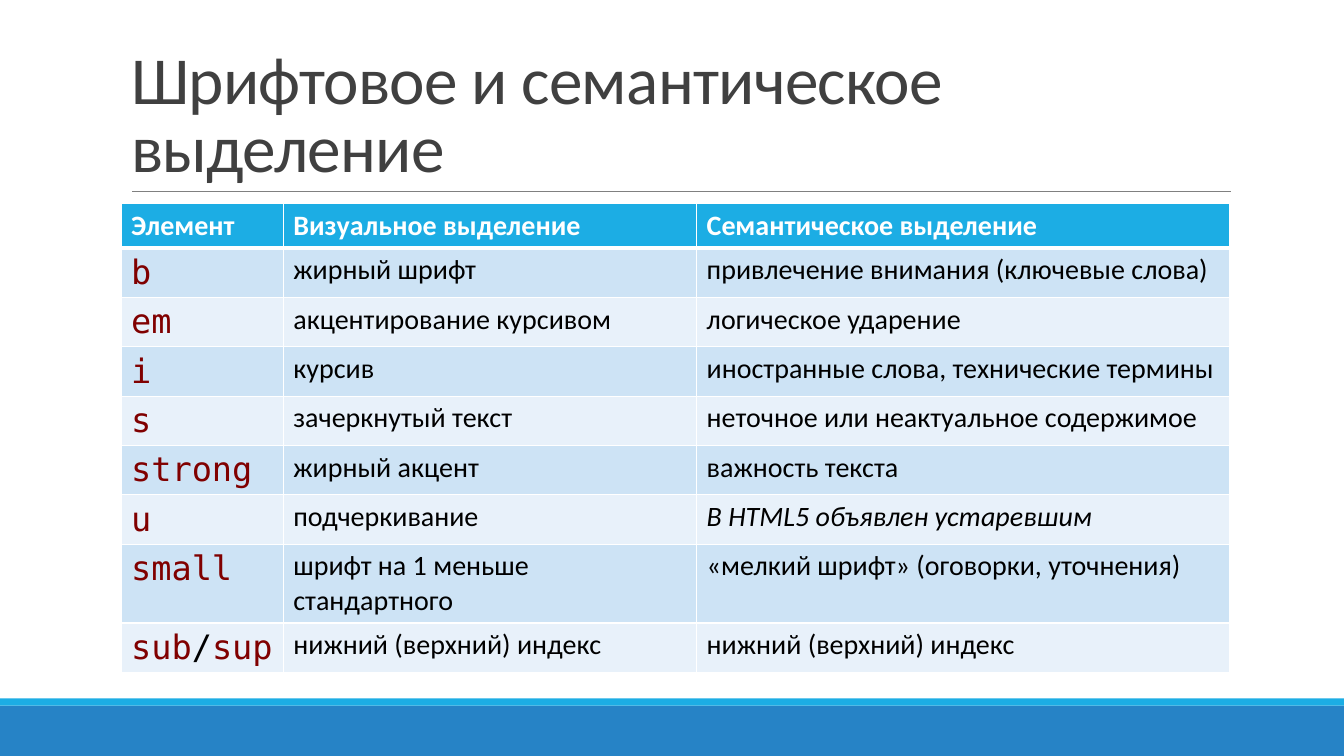
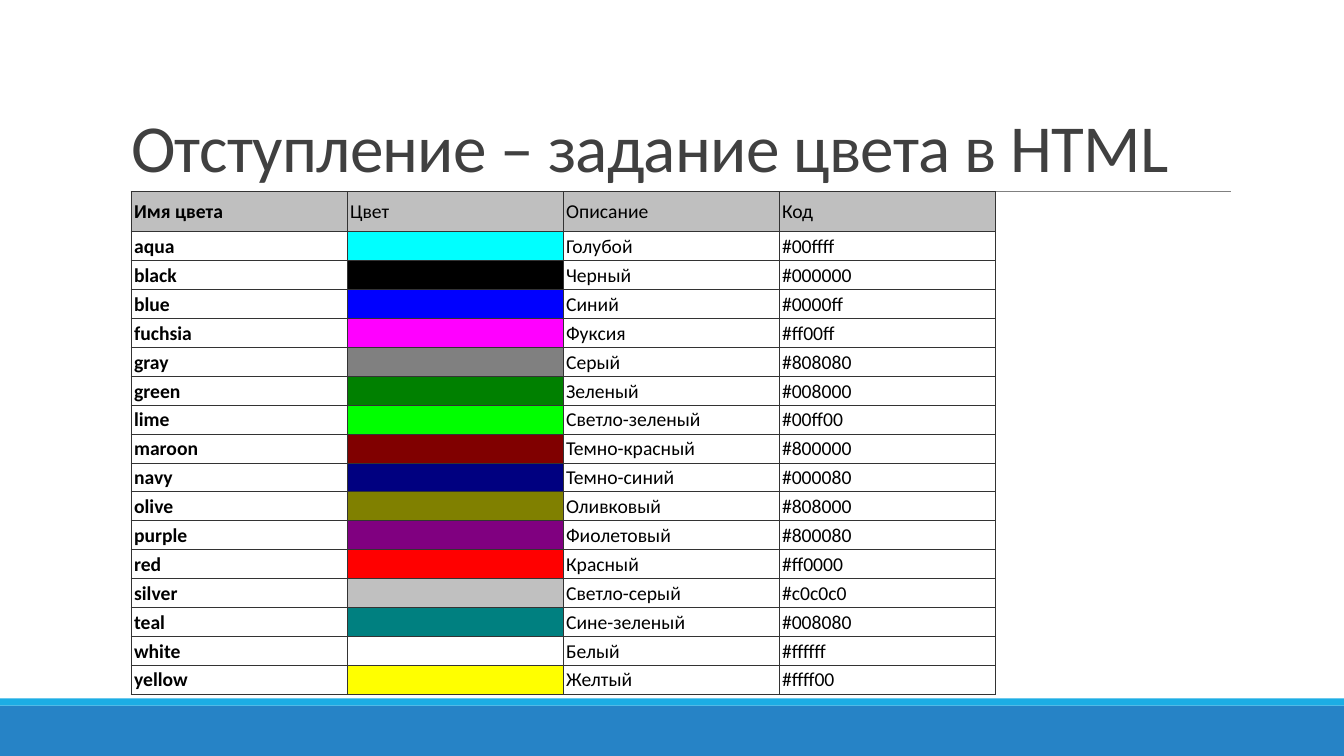
from lxml import etree
from pptx import Presentation
from pptx.dml.color import RGBColor as RGB
from pptx.enum.shapes import MSO_CONNECTOR as CONNECTOR, MSO_SHAPE as SHAPE
from pptx.enum.text import MSO_ANCHOR as ANCHOR, MSO_AUTO_SIZE as AUTO_SIZE, PP_ALIGN as ALIGN
from pptx.oxml.ns import qn
from pptx.util import Inches, Pt

COLORS = {
    "band": "2683C6", "stripe": "1CADE4", "rule": "808080", "title": "404040",
    "white": "FFFFFF", "black": "000000", "code": "800000",
    "odd": "CDE3F5", "even": "E8F1FA", "grid": "333333", "head": "BFBFBF",
}
TITLE = {"size": Pt(48), "name": "Calibri"}
HEAD = {"size": Pt(20), "name": "Calibri", "bold": True}
BODY = {"size": Pt(20), "name": "Calibri", "bold": False}
ITALIC = {**BODY, "italic": True}
CODE = {"size": Pt(24), "name": "DejaVu Sans Mono", "bold": False}
SMALL = {"size": Pt(14), "name": "Calibri", "bold": False}
SMALL_BOLD = {**SMALL, "bold": True}
# Tight vertical margins keep all colour rows above the bottom band
MARGINS = {"margin_left": 0.03, "margin_right": 0.03, "margin_top": 0.03, "margin_bottom": 0.02}


def add_span(para, text, style, color):
    span = para.add_run()
    span.text = text
    for name, value in style.items():
        setattr(span.font, name, value)
    span.font.color.rgb = RGB.from_string(color)


def format_cell(cell, fill, border, widths):
    """Set the fill and the left, right, top and bottom border widths in points."""
    if fill:
        cell.fill.solid()
        cell.fill.fore_color.rgb = RGB.from_string(fill)
    else:
        cell.fill.background()
    props = cell._tc.get_or_add_tcPr()
    for index, (side, width) in enumerate(zip("LRTB", widths)):
        line = etree.Element(qn("a:ln" + side), w=str(Pt(width)))
        solid = etree.SubElement(line, qn("a:solidFill"))
        etree.SubElement(solid, qn("a:srgbClr"), val=border)
        props.insert(index, line)


deck = Presentation()
deck.slide_width, deck.slide_height = Inches(13.33), Inches(7.5)
layout = deck.slide_layouts[5]

# Pages with titles
pages = []
for heading in ("Шрифтовое и семантическое выделение", "Отступление – задание цвета в HTML"):
    page = deck.slides.add_slide(layout)
    title = page.shapes.title
    title.left, title.top = Inches(1.2), Inches(0.31)
    title.width, title.height = Inches(11), Inches(1.59)
    frame = title.text_frame
    frame.vertical_anchor = ANCHOR.BOTTOM
    frame.auto_size = AUTO_SIZE.NONE
    para = frame.paragraphs[0]
    para.alignment = ALIGN.LEFT
    para.line_spacing = 0.85
    add_span(para, heading, TITLE, COLORS["title"])
    for props in title.element.iter(qn("a:rPr")):
        props.set("spc", "-50")
    pages.append(page)
tags_page, colors_page = pages

# Bottom bands and title rule, moved into the shared layout
for color, top, height in (("band", 7, 0.5), ("stripe", 6.93, 0.07)):
    band = tags_page.shapes.add_shape(
        SHAPE.RECTANGLE, 0, Inches(top), deck.slide_width, Inches(height))
    band.shadow.inherit = False
    band.fill.solid()
    band.fill.fore_color.rgb = RGB.from_string(COLORS[color])
    band.line.fill.background()
    layout.shapes.element.append(band.element)
rule = tags_page.shapes.add_connector(
    CONNECTOR.STRAIGHT, Inches(1.31), Inches(1.9), Inches(12.21), Inches(1.9))
rule.line.color.rgb = RGB.from_string(COLORS["rule"])
rule.line.width = Pt(0.5)
etree.SubElement(rule.element.spPr, qn("a:effectLst"))
layout.shapes.element.append(rule.element)

# Table of text elements
tags = [
    ("Элемент", "Визуальное выделение", "Семантическое выделение"),
    ("b", "жирный шрифт", "привлечение внимания (ключевые слова)"),
    ("em", "акцентирование курсивом", "логическое ударение"),
    ("i", "курсив", "иностранные слова, технические термины"),
    ("s", "зачеркнутый текст", "неточное или неактуальное содержимое"),
    ("strong", "жирный акцент", "важность текста"),
    ("u", "подчеркивание", "В HTML5 объявлен устаревшим"),
    ("small", "шрифт на 1 меньше стандартного", "«мелкий шрифт» (оговорки, уточнения)"),
    ("sub/sup", "нижний (верхний) индекс", "нижний (верхний) индекс"),
]
heights = [0.43] + [0.49] * 6 + [0.78, 0.49]
table = tags_page.shapes.add_table(
    len(tags), 3, Inches(1.2), Inches(2.02), Inches(11), Inches(sum(heights))).table
table.first_row = table.horz_banding = False
for column, width in zip(table.columns, (1.61, 4.1, 5.29)):
    column.width = Inches(width)
for r, (texts, height) in enumerate(zip(tags, heights)):
    table.rows[r].height = Inches(height)
    fill = COLORS["stripe" if r == 0 else "odd" if r % 2 else "even"]
    widths = (1, 1, 3 if r == 1 else 1, 3 if r == 0 else 1)
    for c, text in enumerate(texts):
        cell = table.cell(r, c)
        format_cell(cell, fill, COLORS["white"], widths)
        para = cell.text_frame.paragraphs[0]
        if r == 0:
            add_span(para, text, HEAD, COLORS["white"])
        elif c == 0:
            for part in text.replace("/", " / ").split():
                add_span(para, part, CODE, COLORS["black" if part == "/" else "code"])
        else:
            style = ITALIC if (texts[0], c) == ("u", 2) else BODY
            add_span(para, text, style, COLORS["black"])

# Table of named colours
named_colors = [
    ("aqua", "Голубой", "#00ffff"), ("black", "Черный", "#000000"),
    ("blue", "Синий", "#0000ff"), ("fuchsia", "Фуксия", "#ff00ff"),
    ("gray", "Серый", "#808080"), ("green", "Зеленый", "#008000"),
    ("lime", "Светло-зеленый", "#00ff00"), ("maroon", "Темно-красный", "#800000"),
    ("navy", "Темно-синий", "#000080"), ("olive", "Оливковый", "#808000"),
    ("purple", "Фиолетовый", "#800080"), ("red", "Красный", "#ff0000"),
    ("silver", "Светло-серый", "#c0c0c0"), ("teal", "Сине-зеленый", "#008080"),
    ("white", "Белый", "#ffffff"), ("yellow", "Желтый", "#ffff00"),
]
rows = [("Имя цвета", "Цвет", "Описание", "Код")]
rows += [(name, "", description, code) for name, description, code in named_colors]
heights = [0.4] + [0.28] * len(named_colors)
table = colors_page.shapes.add_table(
    len(rows), 4, Inches(1.3), Inches(1.9), Inches(8.57), Inches(sum(heights))).table
table.first_row = table.horz_banding = False
for column in table.columns:
    column.width = Inches(8.57 / 4)
for r, (texts, height) in enumerate(zip(rows, heights)):
    table.rows[r].height = Inches(height)
    for c, text in enumerate(texts):
        cell = table.cell(r, c)
        swatch = texts[3].lstrip("#").upper() if c == 1 else None
        format_cell(cell, COLORS["head"] if r == 0 else swatch, COLORS["grid"], [0.75] * 4)
        cell.vertical_anchor = ANCHOR.MIDDLE
        for name, margin in MARGINS.items():
            setattr(cell, name, Inches(margin))
        para = cell.text_frame.paragraphs[0]
        if text:
            add_span(para, text, SMALL if c else SMALL_BOLD, COLORS["black"])
        else:
            # An empty cell takes its line height from the end mark
            for mark in cell._tc.iter(qn("a:p")):
                etree.SubElement(mark, qn("a:endParaRPr"), sz="1400")

deck.save("out.pptx")
